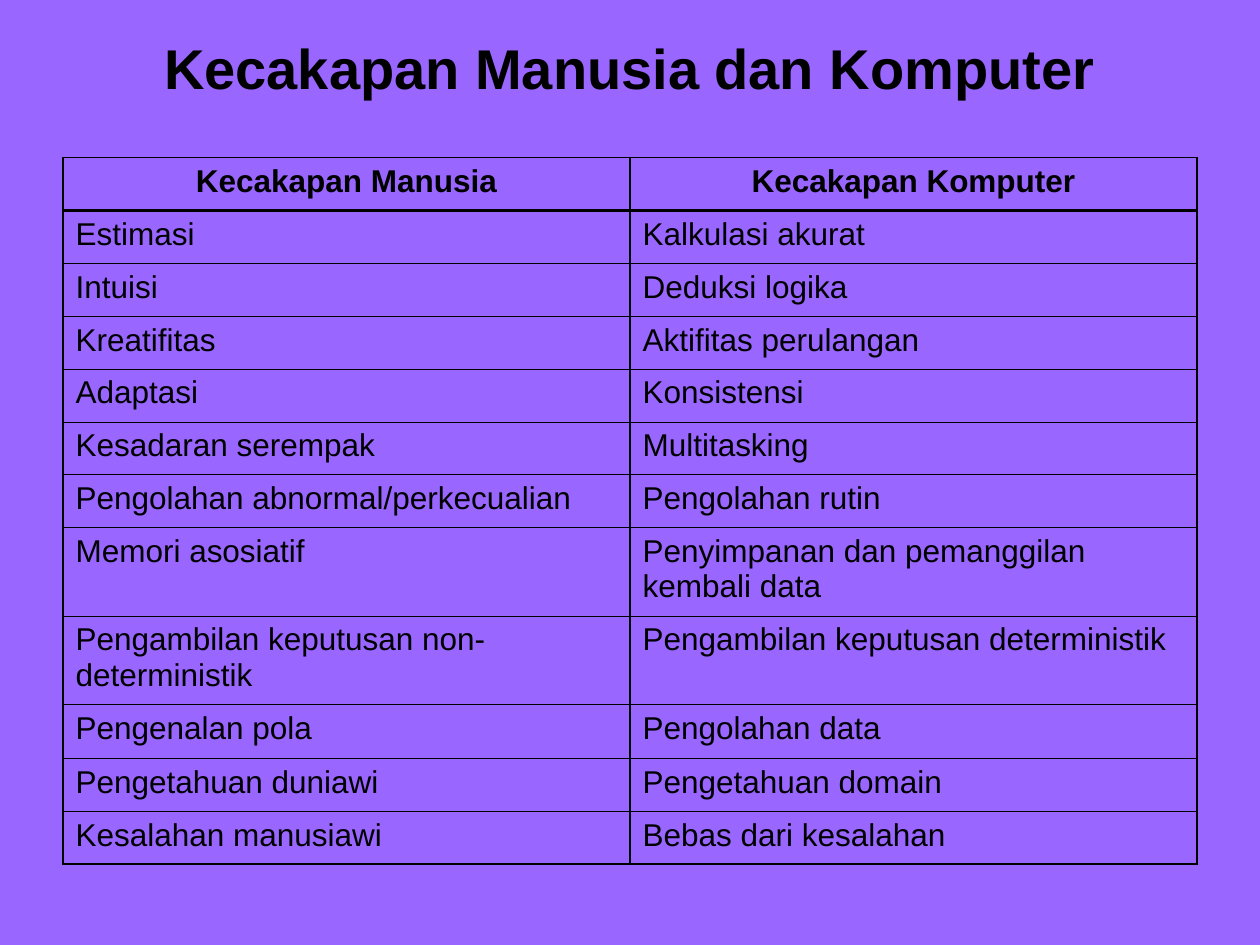
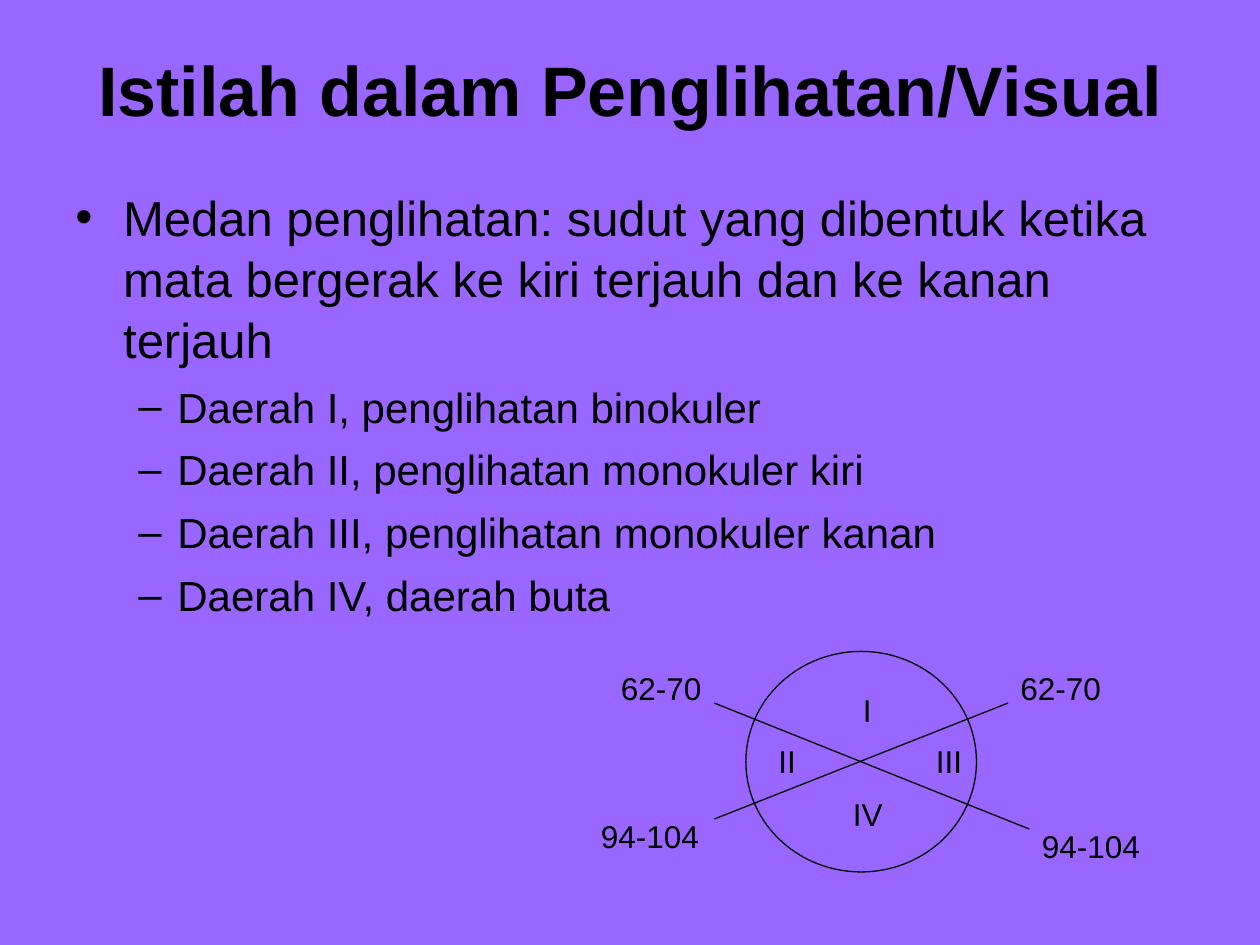
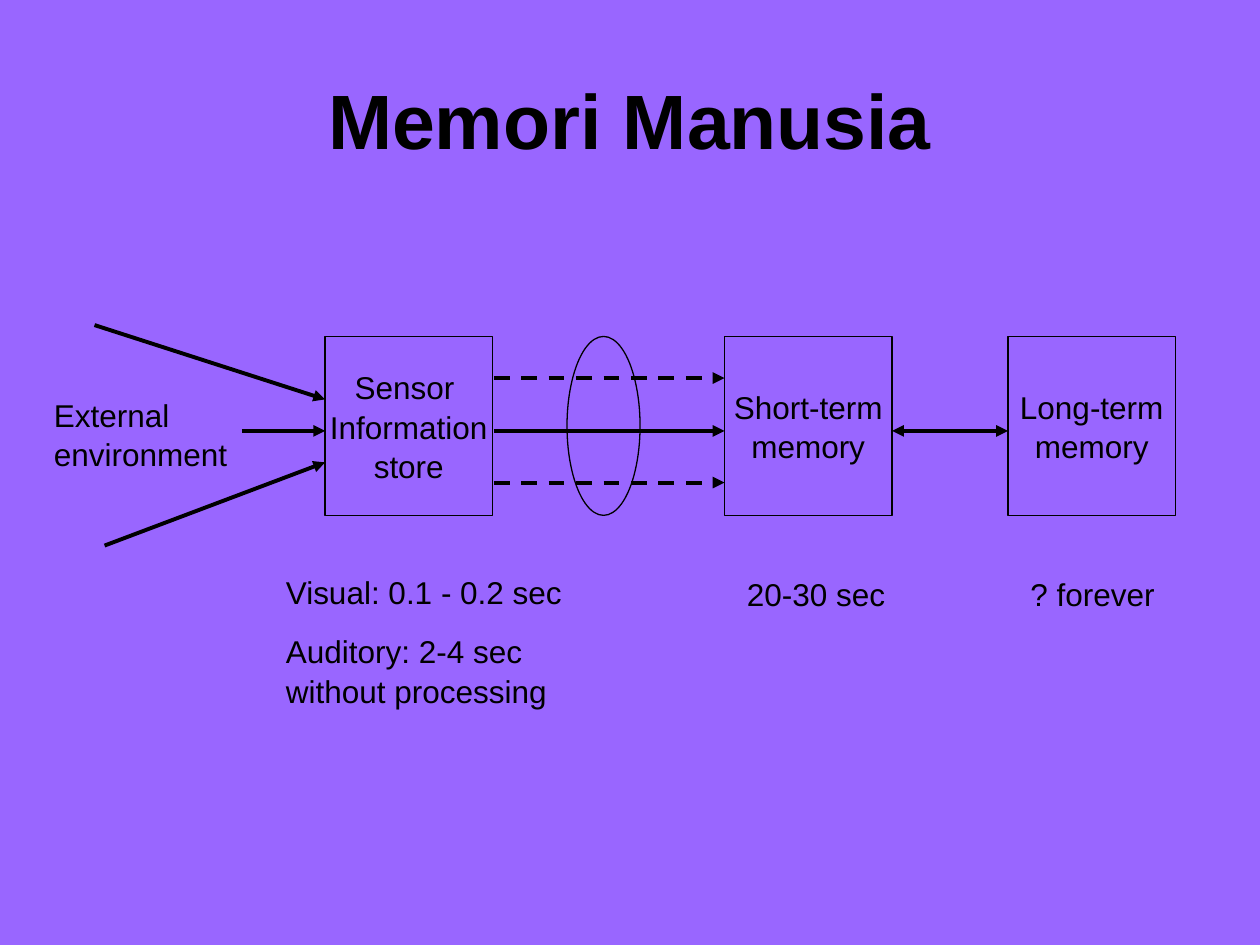
from lxml.etree import SubElement
from pptx import Presentation
from pptx.dml.color import RGBColor
from pptx.enum.dml import MSO_LINE
from pptx.enum.shapes import MSO_CONNECTOR, MSO_SHAPE
from pptx.enum.text import MSO_ANCHOR, PP_ALIGN
from pptx.oxml.ns import qn
from pptx.util import Inches, Pt

PURPLE = RGBColor(0x99, 0x66, 0xFF)
BLACK = RGBColor(0, 0, 0)
FONT = "Arial"
THIN, OUTER, INNER = 0.45, 1.08, 1.47

ABILITIES = [
    ("Kecakapan Manusia", "Kecakapan Komputer"),
    ("Estimasi", "Kalkulasi akurat"),
    ("Intuisi", "Deduksi logika"),
    ("Kreatifitas", "Aktifitas perulangan"),
    ("Adaptasi", "Konsistensi"),
    ("Kesadaran serempak", "Multitasking"),
    ("Pengolahan abnormal/perkecualian", "Pengolahan rutin"),
    ("Memori asosiatif", "Penyimpanan dan pemanggilan kembali data"),
    ("Pengambilan keputusan non-deterministik",
     "Pengambilan keputusan deterministik"),
    ("Pengenalan pola", "Pengolahan data"),
    ("Pengetahuan duniawi", "Pengetahuan domain"),
    ("Kesalahan manusiawi", "Bebas dari kesalahan"),
]
ROW_HEIGHTS = [0.42] * 7 + [0.7] * 2 + [0.43] + [0.42] * 2


def add_solid_fill(parent):
    """Add a black solid fill to an XML element."""
    fill = SubElement(parent, qn("a:solidFill"))
    SubElement(fill, qn("a:srgbClr"), val=str(BLACK))


def add_bullet(para, mark, margin, hanging):
    """Give a paragraph a bullet with a hanging indent."""
    properties = para._p.get_or_add_pPr()
    properties.set("marL", str(Inches(margin)))
    properties.set("indent", str(-Inches(hanging)))
    color = SubElement(properties, qn("a:buClr"))
    SubElement(color, qn("a:srgbClr"), val=str(BLACK))
    SubElement(properties, qn("a:buFont"), typeface=FONT)
    SubElement(properties, qn("a:buChar"), char=mark)


def write_text(para, text, size=18, bold=False, align=PP_ALIGN.LEFT,
               before=0, spacing=1.04):
    """Write one formatted run into a paragraph."""
    para.alignment = align
    para.space_before = Pt(before)
    para.line_spacing = spacing
    span = para.add_run()
    span.text = text
    span.font.name = FONT
    span.font.size = Pt(size)
    span.font.bold = bold
    span.font.color.rgb = BLACK


def next_para(frame, index):
    """Return the first paragraph, or a new one after it."""
    return frame.add_paragraph() if index else frame.paragraphs[0]


class SlideBuilder:
    """Holds the deck, the shared style and the current slide."""

    def __init__(self):
        self.deck = Presentation()
        self.deck.slide_width = Inches(10)
        self.deck.slide_height = Inches(7.5)
        self.page = None

    def start(self, title, size, height):
        """Open a purple slide with a centred bold title."""
        self.page = self.deck.slides.add_slide(self.deck.slide_layouts[6])
        background = self.page.background.fill
        background.solid()
        background.fore_color.rgb = PURPLE
        frame = self.frame(0.5, 0.3, 9, height)
        frame.margin_top = frame.margin_bottom = 0
        frame.vertical_anchor = MSO_ANCHOR.MIDDLE
        write_text(frame.paragraphs[0], title, size=size, bold=True,
                   align=PP_ALIGN.CENTER)

    def frame(self, left, top, width, height):
        """Add a wrapping text box and return its frame."""
        box = self.page.shapes.add_textbox(
            Inches(left), Inches(top), Inches(width), Inches(height))
        box.text_frame.word_wrap = True
        return box.text_frame

    def label(self, left, top, width, *lines, height=0.4):
        """Add a small text label."""
        frame = self.frame(left, top, width, height)
        for index, line in enumerate(lines):
            write_text(next_para(frame, index), line, before=11.2)

    def bullets(self, left, top, width, height, items):
        """Add a list of (level, text) items."""
        styles = [
            (dict(size=28, before=7), ("•", 0.38, 0.38)),
            (dict(size=24, before=6), ("–", 0.81, 0.31)),
        ]
        frame = self.frame(left, top, width, height)
        for index, (level, text) in enumerate(items):
            para = next_para(frame, index)
            text_style, bullet = styles[level]
            para.level = level
            write_text(para, text, **text_style)
            add_bullet(para, *bullet)

    def outline(self, kind, left, top, width, height, *lines):
        """Add an unfilled shape with optional centred lines."""
        shape = self.page.shapes.add_shape(
            kind, Inches(left), Inches(top), Inches(width), Inches(height))
        shape.shadow.inherit = False
        shape.fill.background()
        shape.line.color.rgb = BLACK
        shape.line.width = Pt(0.75)
        frame = shape.text_frame
        frame.word_wrap = False
        frame.vertical_anchor = MSO_ANCHOR.MIDDLE
        for index, line in enumerate(lines):
            write_text(next_para(frame, index), line, align=PP_ALIGN.CENTER)

    def line(self, start, end, width=0.75, dash=None, arrows=()):
        """Add a straight line with arrowheads at the named ends."""
        connector = self.page.shapes.add_connector(
            MSO_CONNECTOR.STRAIGHT, *map(Inches, start + end))
        connector.line.color.rgb = BLACK
        connector.line.width = Pt(width)
        if dash:
            connector.line.dash_style = dash
        properties = connector._element.spPr
        for arrow in arrows:
            SubElement(properties.find(qn("a:ln")), qn(f"a:{arrow}"),
                       type="triangle")
        SubElement(properties, qn("a:effectLst"))

    def arrow(self, start, end, dash=None, arrows=("tailEnd",)):
        """Add a thick arrow."""
        self.line(start, end, width=2.25, dash=dash, arrows=arrows)

    def table(self, left, top, width, rows, heights):
        """Add a ruled, unfilled table with a bold header row."""
        column_count = len(rows[0])
        table = self.page.shapes.add_table(
            len(rows), column_count, Inches(left), Inches(top),
            Inches(width), Inches(sum(heights))).table
        table.first_row = table.horz_banding = False
        last_row, last_column = len(rows) - 1, column_count - 1
        for row, (texts, height) in enumerate(zip(rows, heights)):
            table.rows[row].height = Inches(height)
            for column, text in enumerate(texts):
                cell = table.cell(row, column)
                header = row == 0
                write_text(
                    cell.text_frame.paragraphs[0], text, bold=header,
                    before=4.5, spacing=1.0,
                    align=PP_ALIGN.CENTER if header else PP_ALIGN.LEFT)
                self.borders(
                    cell,
                    L=OUTER if column == 0 else INNER,
                    R=OUTER if column == last_column else INNER,
                    T={0: OUTER, 1: INNER}.get(row, THIN),
                    B={0: INNER, last_row: OUTER}.get(row, THIN))
                cell.fill.background()

    def borders(self, cell, **widths):
        """Rule the sides of a cell with widths in points."""
        properties = cell._tc.get_or_add_tcPr()
        for side, width in widths.items():
            add_solid_fill(SubElement(properties, qn(f"a:ln{side}"),
                                      w=str(Pt(width))))


def build_abilities(slides):
    """Compare human and computer abilities."""
    slides.start("Kecakapan Manusia dan Komputer", 32, 0.45)
    slides.table(0.5, 1.25, 9, ABILITIES, ROW_HEIGHTS)


def build_vision(slides):
    """Explain the field of vision."""
    slides.start("Istilah dalam Penglihatan/Visual", 40, 0.78)
    slides.bullets(0.5, 1.42, 9, 3.5, [
        (0, "Medan penglihatan: sudut yang dibentuk ketika mata bergerak "
            "ke kiri terjauh dan ke kanan terjauh"),
        (1, "Daerah I, penglihatan binokuler"),
        (1, "Daerah II, penglihatan monokuler kiri"),
        (1, "Daerah III, penglihatan monokuler kanan"),
        (1, "Daerah IV, daerah buta"),
    ])
    slides.outline(MSO_SHAPE.OVAL, 5.92, 5.17, 1.83, 1.75)
    slides.line((5.67, 5.58), (8.17, 6.58))
    slides.line((5.67, 6.5), (8, 5.58))
    for left, top, width, text in [
        (6.75, 5.42, 0.5, "I"), (7.33, 5.83, 0.5, "III"),
        (6.08, 5.83, 0.5, "II"), (6.67, 6.25, 0.5, "IV"),
        (4.83, 5.25, 0.92, "62-70"), (8, 5.25, 0.92, "62-70"),
        (4.67, 6.42, 1.08, "94-104"), (8.17, 6.5, 1.08, "94-104"),
    ]:
        slides.label(left, top, width, text)


def build_memory(slides):
    """Draw the stages of human memory."""
    slides.start("Memori Manusia", 44, 1.25)
    top, height, middle = 2.67, 1.42, 3.42
    for left, lines in [
        (2.58, ("Sensor ", "Information", "store")),
        (5.75, ("Short-term", "memory")),
        (8, ("Long-term", "memory")),
    ]:
        slides.outline(MSO_SHAPE.RECTANGLE, left, top, 1.33, height, *lines)
    slides.outline(MSO_SHAPE.OVAL, 4.5, top, 0.58, height)
    for level, dash in [(middle, None), (3, MSO_LINE.DASH),
                        (3.83, MSO_LINE.DASH)]:
        slides.arrow((3.92, level), (5.75, level), dash=dash)
    slides.arrow((7.08, middle), (8, middle), arrows=("headEnd", "tailEnd"))
    for start, end_level in [((1.92, middle), middle), ((0.75, 2.58), 3.17),
                             ((0.83, 4.33), 3.67)]:
        slides.arrow(start, (2.58, end_level))
    slides.label(0.33, 3.08, 1.58, "External environment", height=0.7)
    slides.label(2.17, 4.49, 2.42, "Visual: 0.1 - 0.2 sec",
                 "Auditory: 2-4 sec without processing", height=1.16)
    slides.label(5.83, 4.5, 1.75, "20-30 sec")
    slides.label(8.08, 4.5, 1.42, "? forever")


def main():
    """Build and save the deck."""
    slides = SlideBuilder()
    build_abilities(slides)
    build_vision(slides)
    build_memory(slides)
    slides.deck.save("out.pptx")


if __name__ == "__main__":
    main()
